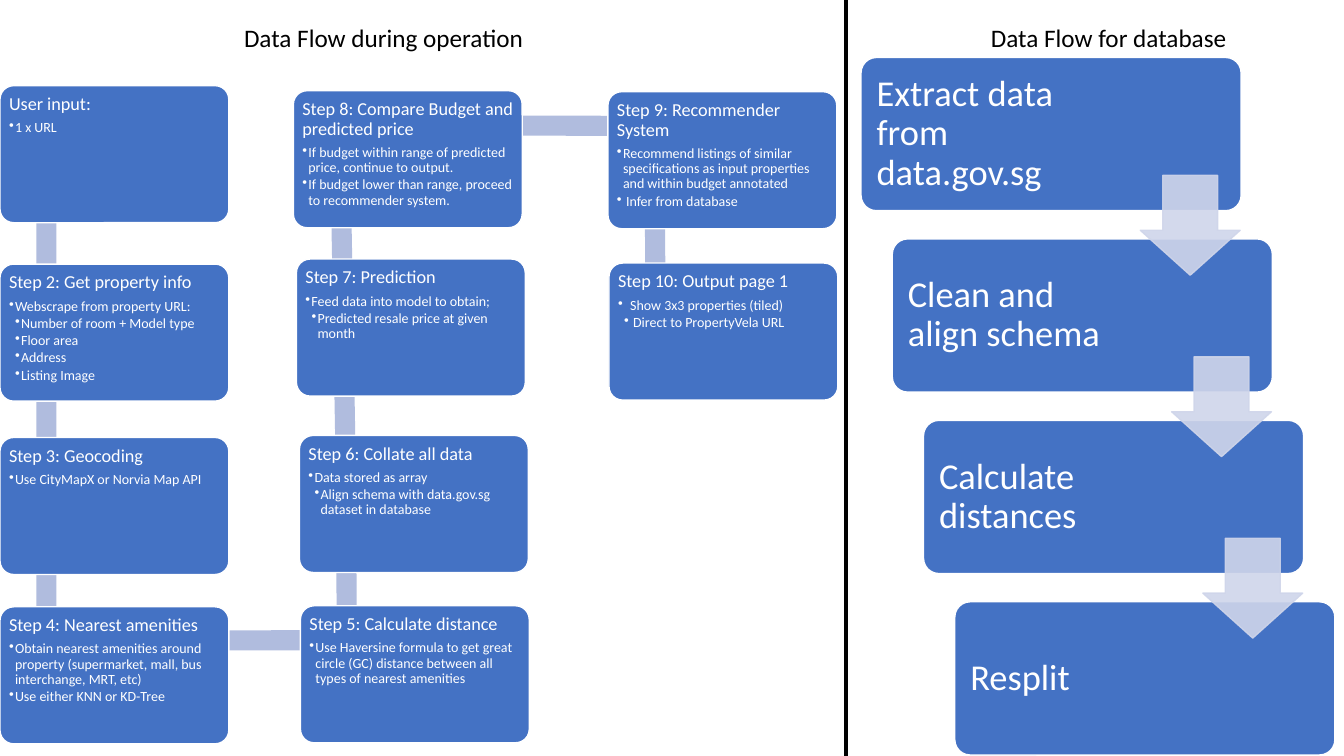
import math
from dataclasses import dataclass

from lxml import etree
from pptx import Presentation, util as u
from pptx.dml.color import RGBColor
from pptx.enum import shapes, text
from pptx.oxml.ns import qn
from pptx.shapes.autoshape import Shape
from pptx.slide import Slide
from pptx.text.text import TextFrame

BLUE = RGBColor(0x44, 0x72, 0xC4)
BAR = RGBColor(0xB0, 0xBC, 0xDE)
ARROW = RGBColor(0xCF, 0xD5, 0xEA)
WHITE = RGBColor(0xFF, 0xFF, 0xFF)
BLACK = RGBColor(0, 0, 0)
FONT = "Calibri"
STEP_W, STEP_H = 2.27, 1.36
JOINT_X, JOINT_Y = 0.46, 0.34
BAR_H = 0.2
STAGE_W, STAGE_H = 3.77, 1.52
STAGE_DX, STAGE_DY = 0.31, 1.8


@dataclass(frozen=True)
class Bullet:
    text: str
    level: int = 1
    hang: float = 0.06


@dataclass(frozen=True)
class Step:
    left: float
    top: float
    title: str
    bullets: tuple[Bullet, ...]


@dataclass(frozen=True)
class Stage:
    title: str
    right_inset: float = 1.42


STEPS = (
    Step(0, 0.85, "User input:", (Bullet("1 x URL"),)),
    Step(0, 2.62, "Step 2: Get property info", (
        Bullet("Webscrape from property URL:"),
        Bullet("Number of room + Model type", 2),
        Bullet("Floor area", 2),
        Bullet("Address", 2),
        Bullet("Listing Image", 2))),
    Step(0, 4.34, "Step 3: Geocoding", (
        Bullet("Use CityMapX or Norvia Map API"),)),
    Step(0, 6.02, "Step 4: Nearest amenities", (
        Bullet("Obtain nearest amenities around property (supermarket, mall, "
               "bus interchange, MRT, etc)"),
        Bullet("Use either KNN or KD-Tree"))),
    Step(2.98, 6.01, "Step 5: Calculate distance", (
        Bullet("Use Haversine formula to get great circle (GC) distance "
               "between all types of nearest amenities"),)),
    Step(2.97, 4.32, "Step 6: Collate all data", (
        Bullet("Data stored as array"),
        Bullet("Align schema with data.gov.sg dataset in database", 2))),
    Step(2.94, 2.57, "Step 7: Prediction", (
        Bullet("Feed data into model to obtain;"),
        Bullet("Predicted resale price at given month", 2))),
    Step(2.91, 0.9, "Step 8: Compare Budget and predicted price", (
        Bullet("If budget within range of predicted price, continue to output."),
        Bullet("If budget lower than range, proceed to recommender system."))),
    Step(6.03, 0.91, "Step 9: Recommender System", (
        Bullet("Recommend listings of similar specifications as input "
               "properties and within budget annotated"),
        Bullet("Infer from database", hang=0.09))),
    Step(6.04, 2.61, "Step 10: Output page 1", (
        Bullet("Show 3x3 properties (tiled)", hang=0.12),
        Bullet("Direct to PropertyVela URL", 2, 0.09))),
)

STAGES = (
    Stage("Extract data from data.gov.sg", 1.81),
    Stage("Clean and align schema"),
    Stage("Calculate distances"),
    Stage("Resplit"),
)


def add_block(s: Slide, kind: shapes.MSO_SHAPE, left: float, top: float,
              width: float, height: float, fill: RGBColor) -> Shape:
    sp = s.shapes.add_shape(kind, u.Inches(left), u.Inches(top),
                            u.Inches(width), u.Inches(height))
    sp.shadow.inherit = False
    sp.fill.solid()
    sp.fill.fore_color.rgb = fill
    sp.line.fill.background()
    return sp


def add_card(s: Slide, left: float, top: float, width: float, height: float,
             inset: float) -> Shape:
    sp = add_block(s, shapes.MSO_SHAPE.ROUNDED_RECTANGLE, left, top, width, height, BLUE)
    sp.adjustments[0] = 0.1
    sp.line.color.rgb = WHITE
    sp.line.width = u.Pt(1)
    tf = sp.text_frame
    tf.word_wrap = True
    tf.margin_left = tf.margin_right = u.Inches(inset)
    tf.margin_top = tf.margin_bottom = u.Inches(inset)
    return sp


def format_paragraph(tf: TextFrame, index: int, size: float, color: RGBColor) -> None:
    p = tf.paragraphs[index]
    p.alignment = text.PP_ALIGN.LEFT
    for r in p.runs:
        r.font.name = FONT
        r.font.size = u.Pt(size)
        r.font.color.rgb = color


def add_bar(s: Slide, start: Step, end: Step) -> None:
    dx, dy = end.left - start.left, end.top - start.top
    length = math.hypot(dx, dy)
    center_x = (start.left + end.left) / 2 + JOINT_X
    center_y = (start.top + end.top) / 2 + JOINT_Y
    sp = add_block(s, shapes.MSO_SHAPE.RECTANGLE, center_x - length / 2,
                   center_y - BAR_H / 2, length, BAR_H, BAR)
    sp.rotation = math.degrees(math.atan2(dy, dx))


def add_step(s: Slide, step: Step) -> None:
    tf = add_card(s, step.left, step.top, STEP_W, STEP_H, 0.05).text_frame
    tf.vertical_anchor = text.MSO_ANCHOR.TOP
    tf.text = "\n".join([step.title, *(b.text for b in step.bullets)])
    format_paragraph(tf, 0, 13, WHITE)
    tf.paragraphs[0].line_spacing = 0.9
    tf.paragraphs[0].space_after = u.Pt(4.55)
    for i, bullet in enumerate(step.bullets, 1):
        format_paragraph(tf, i, 10, WHITE)
        p = tf.paragraphs[i]
        p.level = bullet.level
        p.line_spacing = 0.9
        p.space_after = u.Pt(1.5)
        pPr = p._p.get_or_add_pPr()
        margin = 0.06 * (bullet.level - 1) + bullet.hang
        pPr.set("marL", str(u.Inches(margin)))
        pPr.set("indent", str(-u.Inches(bullet.hang)))
        etree.SubElement(pPr, qn("a:buChar")).set("char", "•")


def add_stage(s: Slide, index: int, stage: Stage) -> None:
    sp = add_card(s, 8.54 + STAGE_DX * index, 0.57 + STAGE_DY * index,
                  STAGE_W, STAGE_H, 0.11)
    tf = sp.text_frame
    tf.margin_right = u.Inches(stage.right_inset)
    tf.vertical_anchor = text.MSO_ANCHOR.MIDDLE
    tf.text = stage.title
    format_paragraph(tf, 0, 26, WHITE)
    tf.paragraphs[0].line_spacing = 0.9


def add_stage_arrow(s: Slide, index: int) -> None:
    sp = add_block(s, shapes.MSO_SHAPE.DOWN_ARROW, 11.31 + STAGE_DX * index,
                   1.74 + STAGE_DY * index, 0.99, 0.99, ARROW)
    sp.adjustments[0], sp.adjustments[1] = 0.55, 0.45
    sp.line.color.rgb = ARROW
    sp.line.width = u.Pt(1)
    for color in sp._element.spPr.iter(qn("a:srgbClr")):
        etree.SubElement(color, qn("a:alpha")).set("val", "90000")


def set_heading(sp: Shape, left: float, width: float, heading: str) -> None:
    sp.left, sp.top = u.Inches(left), u.Inches(0.17)
    sp.width, sp.height = u.Inches(width), u.Inches(0.4)
    tf = sp.text_frame
    tf.text = heading
    tf.word_wrap = True
    tf.auto_size = text.MSO_AUTO_SIZE.NONE
    tf.vertical_anchor = text.MSO_ANCHOR.TOP
    format_paragraph(tf, 0, 18, BLACK)


def add_divider(s: Slide) -> None:
    line = s.shapes.add_connector(shapes.MSO_CONNECTOR.STRAIGHT, u.Inches(8.39), 0,
                                  u.Inches(8.39), u.Inches(7.5))
    line.line.color.rgb = BLACK
    line.line.width = u.Pt(3)
    etree.SubElement(line._element.spPr, qn("a:effectLst"))


def main() -> None:
    prs = Presentation()
    prs.slide_width, prs.slide_height = u.Inches(13.33), u.Inches(7.5)
    s = prs.slides.add_slide(prs.slide_layouts[5])
    set_heading(s.shapes.title, 2.32, 3.03, "Data Flow during operation")
    set_heading(s.shapes.add_textbox(0, 0, 0, 0), 9.73, 2.57, "Data Flow for database")
    for i, step in enumerate(STEPS):
        if i + 1 < len(STEPS):
            add_bar(s, step, STEPS[i + 1])
        add_step(s, step)
    add_divider(s)
    for i, stage in enumerate(STAGES):
        add_stage(s, i, stage)
    for i in range(len(STAGES) - 1):
        add_stage_arrow(s, i)
    prs.save("out.pptx")


if __name__ == "__main__":
    main()
